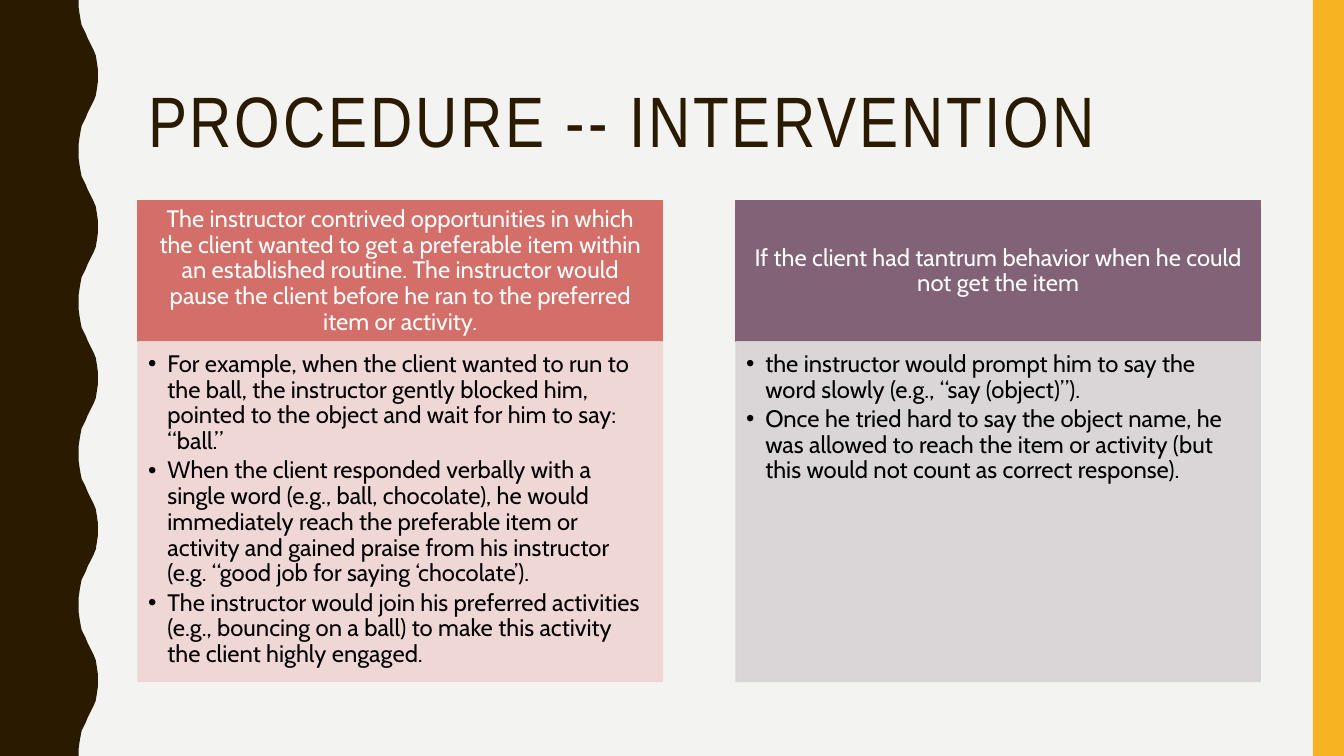
from dataclasses import dataclass

from lxml import etree
from pptx import Presentation
from pptx import util as u
from pptx.dml.color import RGBColor
from pptx.enum import shapes, text
from pptx.oxml import ns

EMU_PER_PX = 9144
WIDTH, HEIGHT = 1333, 750
COLORS = {
    "paper": "F3F3F2",
    "brown": "2A1A00",
    "gold": "F8B323",
    "coral": "D36F68",
    "blush": "EFD5D4",
    "plum": "826276",
    "mist": "D8D3D6",
    "white": "FFFFFF",
    "black": "000000",
}
TITLE_FONT, BODY_FONT = "Arial Narrow", "Cabin"
BODY_SIZE = 17
COLUMN_TOP, COLUMN_WIDTH = 199, 520
HEADER_HEIGHT, LIST_HEIGHT = 140, 337
BULLET_INDENT = 19
WAVE_PERIOD, WAVE_COUNT = 150, 5
WAVE_RISE = [(78, 0), (78, 7), (79, 14), (80, 20), (81, 25), (83, 29), (85, 33), (87, 38),
             (89, 42), (91, 46), (93, 50), (95, 55), (96, 61), (97, 68), (97, 75)]


@dataclass(frozen=True)
class Column:
    left: int
    header_color: str
    list_color: str
    header: str
    points: tuple[str, ...]


COLUMNS = [
    Column(137, "coral", "blush",
           "The instructor contrived opportunities in which the client wanted to get a preferable "
           "item within an established routine. The instructor would pause the client before he "
           "ran to the preferred item or activity.",
           ("For example, when the client wanted to run to the ball, the instructor gently blocked "
            "him, pointed to the object and wait for him to say: “ball.”",
            "When the client responded verbally with a single word (e.g., ball, chocolate), he "
            "would immediately reach the preferable item or activity and gained praise from his "
            "instructor (e.g. “good job for saying ‘chocolate’).",
            "The instructor would join his preferred activities (e.g., bouncing on a ball) to make "
            "this activity the client highly engaged.")),
    Column(730, "plum", "mist",
           "If the client had tantrum behavior when he could not get the item",
           ("the instructor would prompt him to say the word slowly (e.g., “say (object)”).",
            "Once he tried hard to say the object name, he was allowed to reach the item or "
            "activity (but this would not count as correct response).")),
]


def px(length: int) -> u.Emu:
    return u.Emu(length * EMU_PER_PX)


def rgb(name: str) -> RGBColor:
    return RGBColor.from_string(COLORS[name])


def place(box, left: int, top: int, width: int, height: int) -> None:
    box.left, box.top, box.width, box.height = px(left), px(top), px(width), px(height)


def paint(box, color: str, opacity: int = 100) -> None:
    box.fill.solid()
    box.fill.fore_color.rgb = rgb(color)
    box.line.color.rgb = rgb(color)
    box.line.width = u.Pt(1)
    if opacity < 100:
        for tone in box._element.spPr.iter(ns.qn("a:srgbClr")):
            etree.SubElement(tone, ns.qn("a:alpha"), val=str(opacity * 1000))


def set_frame(box, anchor: text.MSO_ANCHOR, insets: tuple[int, int, int, int]):
    frame = box.text_frame
    frame.word_wrap = True
    frame.auto_size = text.MSO_AUTO_SIZE.NONE
    frame.vertical_anchor = anchor
    (frame.margin_left, frame.margin_top,
     frame.margin_right, frame.margin_bottom) = map(px, insets)
    return frame


def write(para, words: str, font: str, size: int, color: str, align: text.PP_ALIGN):
    para.alignment = align
    para.line_spacing = 0.9
    para.space_before = u.Pt(0)
    span = para.add_run()
    span.text = words
    span.font.name = font
    span.font.size = u.Pt(size)
    span.font.bold = False
    span.font.color.rgb = rgb(color)
    return span


def add_bullet(para) -> None:
    props = para._p.get_or_add_pPr()
    props.set("marL", str(px(BULLET_INDENT)))
    props.set("indent", str(-px(BULLET_INDENT)))
    etree.SubElement(props, ns.qn("a:buFont"), typeface="Arial")
    etree.SubElement(props, ns.qn("a:buChar"), char="•")


def draw_wave(page) -> None:
    fall = [(x, WAVE_PERIOD - y) for x, y in reversed(WAVE_RISE[:-1])]
    edge = [(x, y + WAVE_PERIOD * cycle)
            for cycle in range(WAVE_COUNT) for x, y in WAVE_RISE + fall]
    builder = page.shapes.build_freeform(0, 0, scale=EMU_PER_PX)
    builder.add_line_segments(edge + [(0, HEIGHT)], close=True)
    wave = builder.convert_to_shape()
    wave.shadow.inherit = False
    wave.fill.solid()
    wave.fill.fore_color.rgb = rgb("brown")
    wave.line.fill.background()


def draw_stripe(page) -> None:
    stripe = page.shapes.add_shape(shapes.MSO_SHAPE.RECTANGLE,
                                   px(1302), px(0), px(WIDTH - 1302), px(HEIGHT))
    stripe.shadow.inherit = False
    stripe.fill.solid()
    stripe.fill.fore_color.rgb = rgb("gold")
    stripe.line.fill.background()


def draw_title(page) -> None:
    title = page.shapes.title
    place(title, 137, 42, 1113, 163)
    frame = set_frame(title, text.MSO_ANCHOR.MIDDLE, (10, 5, 10, 5))
    span = write(frame.paragraphs[0], "PROCEDURE -- INTERVENTION",
                 TITLE_FONT, 51, "brown", text.PP_ALIGN.LEFT)
    span.font._element.set("spc", "200")


def draw_column(header, listing, column: Column) -> None:
    place(header, column.left, COLUMN_TOP, COLUMN_WIDTH, HEADER_HEIGHT)
    paint(header, column.header_color)
    frame = set_frame(header, text.MSO_ANCHOR.MIDDLE, (13, 8, 13, 8))
    write(frame.paragraphs[0], column.header, BODY_FONT, BODY_SIZE, "white",
          text.PP_ALIGN.CENTER)

    place(listing, column.left, COLUMN_TOP + HEADER_HEIGHT, COLUMN_WIDTH, LIST_HEIGHT)
    paint(listing, column.list_color, opacity=90)
    frame = set_frame(listing, text.MSO_ANCHOR.TOP, (10, 10, 13, 15))
    for index, point in enumerate(column.points):
        para = frame.add_paragraph() if index else frame.paragraphs[0]
        para.level = 1
        add_bullet(para)
        write(para, point, BODY_FONT, BODY_SIZE, "black", text.PP_ALIGN.LEFT)
        para.space_after = u.Pt(2.6)


def main() -> None:
    deck = Presentation()
    deck.slide_width, deck.slide_height = px(WIDTH), px(HEIGHT)
    page = deck.slides.add_slide(deck.slide_layouts.get_by_name("Comparison"))
    page.background.fill.solid()
    page.background.fill.fore_color.rgb = rgb("paper")
    draw_wave(page)
    draw_stripe(page)
    draw_title(page)
    _, *boxes = page.placeholders
    for header, listing, column in zip(boxes[::2], boxes[1::2], COLUMNS):
        draw_column(header, listing, column)
    deck.save("out.pptx")


if __name__ == "__main__":
    main()
